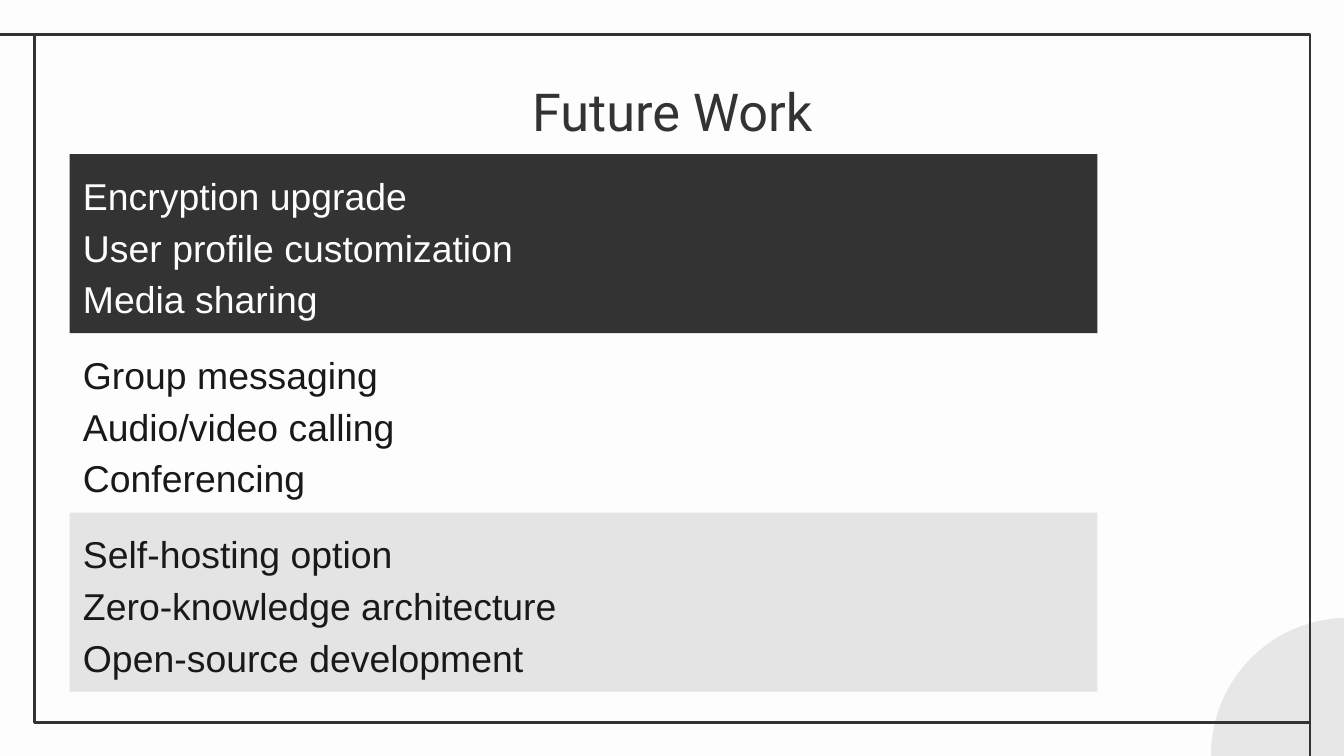
from lxml.etree import SubElement
from pptx import Presentation
from pptx.dml.color import RGBColor
from pptx.enum.shapes import MSO_CONNECTOR, MSO_SHAPE
from pptx.enum.text import MSO_ANCHOR, PP_ALIGN
from pptx.oxml.ns import qn
from pptx.util import Pt

COLORS = {
    "background": "FDFDFD",
    "dark": "333333",
    "light": "E4E4E4",
    "circle": "E8E7E7",
    "text": "191919",
}
BLOCK_LEFT, BLOCK_TOP = 37.4, 82.6
BLOCK_WIDTH, BLOCK_HEIGHT = 550.6, 96
BLOCKS = [
    ("dark", "background",
     ["Encryption upgrade", "User profile customization", "Media sharing"]),
    ("background", "text",
     ["Group messaging", "Audio/video calling", "Conferencing"]),
    ("light", "text",
     ["Self-hosting option", "Zero-knowledge architecture", "Open-source development"]),
]


def color(name):
    return RGBColor.from_string(COLORS[name])


def set_fill(fill, name):
    fill.solid()
    fill.fore_color.rgb = color(name)


def set_line(line):
    line.color.rgb = color("dark")
    line.width = Pt(1.5)


def set_font(paragraph, name, size, color_name):
    paragraph.font.name = name
    paragraph.font.size = Pt(size)
    paragraph.font.color.rgb = color(color_name)


def set_margins(text_frame):
    text_frame.word_wrap = True
    text_frame.margin_left = text_frame.margin_right = Pt(7.2)
    text_frame.margin_top = text_frame.margin_bottom = Pt(7.2)


def add_shape(slide, kind, left, top, width, height, fill=None):
    shape = slide.shapes.add_shape(kind, Pt(left), Pt(top), Pt(width), Pt(height))
    shape.shadow.inherit = False
    if fill:
        set_fill(shape.fill, fill)
        shape.line.fill.background()
    else:
        shape.fill.background()
        set_line(shape.line)
    return shape


def add_line(slide, *ends):
    connector = slide.shapes.add_connector(
        MSO_CONNECTOR.STRAIGHT, *[Pt(end) for end in ends])
    set_line(connector.line)
    SubElement(connector._element.spPr, qn("a:effectLst"))


def add_frame(slide):
    add_shape(slide, MSO_SHAPE.OVAL, 648.8, 331, 147, 147, "circle")
    add_shape(slide, MSO_SHAPE.RECTANGLE, 18.4, 18.4, 683.4, 368.6)
    add_line(slide, -1.4, 18.4, 18.4, 18.4)
    add_line(slide, 701.8, 387, 701.8, 414)


def add_title(slide, text):
    title = slide.shapes.title
    title.left, title.top = Pt(56.6), Pt(35.4)
    title.width, title.height = Pt(607), Pt(45.4)
    text_frame = title.text_frame
    set_margins(text_frame)
    text_frame.vertical_anchor = MSO_ANCHOR.TOP
    text_frame.text = text
    paragraph = text_frame.paragraphs[0]
    paragraph.alignment = PP_ALIGN.CENTER
    set_font(paragraph, "Roboto", 28, "dark")


def add_block(slide, index, fill, text_color, items):
    top = BLOCK_TOP + index * BLOCK_HEIGHT
    shape = add_shape(slide, MSO_SHAPE.RECTANGLE,
                      BLOCK_LEFT, top, BLOCK_WIDTH, BLOCK_HEIGHT, fill)
    text_frame = shape.text_frame
    set_margins(text_frame)
    text_frame.vertical_anchor = MSO_ANCHOR.MIDDLE
    text_frame.text = "\n".join(items)
    for paragraph in text_frame.paragraphs:
        paragraph.alignment = PP_ALIGN.LEFT
        paragraph.line_spacing = 1.15
        set_font(paragraph, "Arial", 20, text_color)


def main():
    presentation = Presentation()
    presentation.slide_width, presentation.slide_height = Pt(720), Pt(405)
    slide = presentation.slides.add_slide(presentation.slide_layouts[5])
    set_fill(slide.background.fill, "background")
    add_frame(slide)
    add_title(slide, "Future Work")
    for index, (fill, text_color, items) in enumerate(BLOCKS):
        add_block(slide, index, fill, text_color, items)
    presentation.save("out.pptx")


if __name__ == "__main__":
    main()
